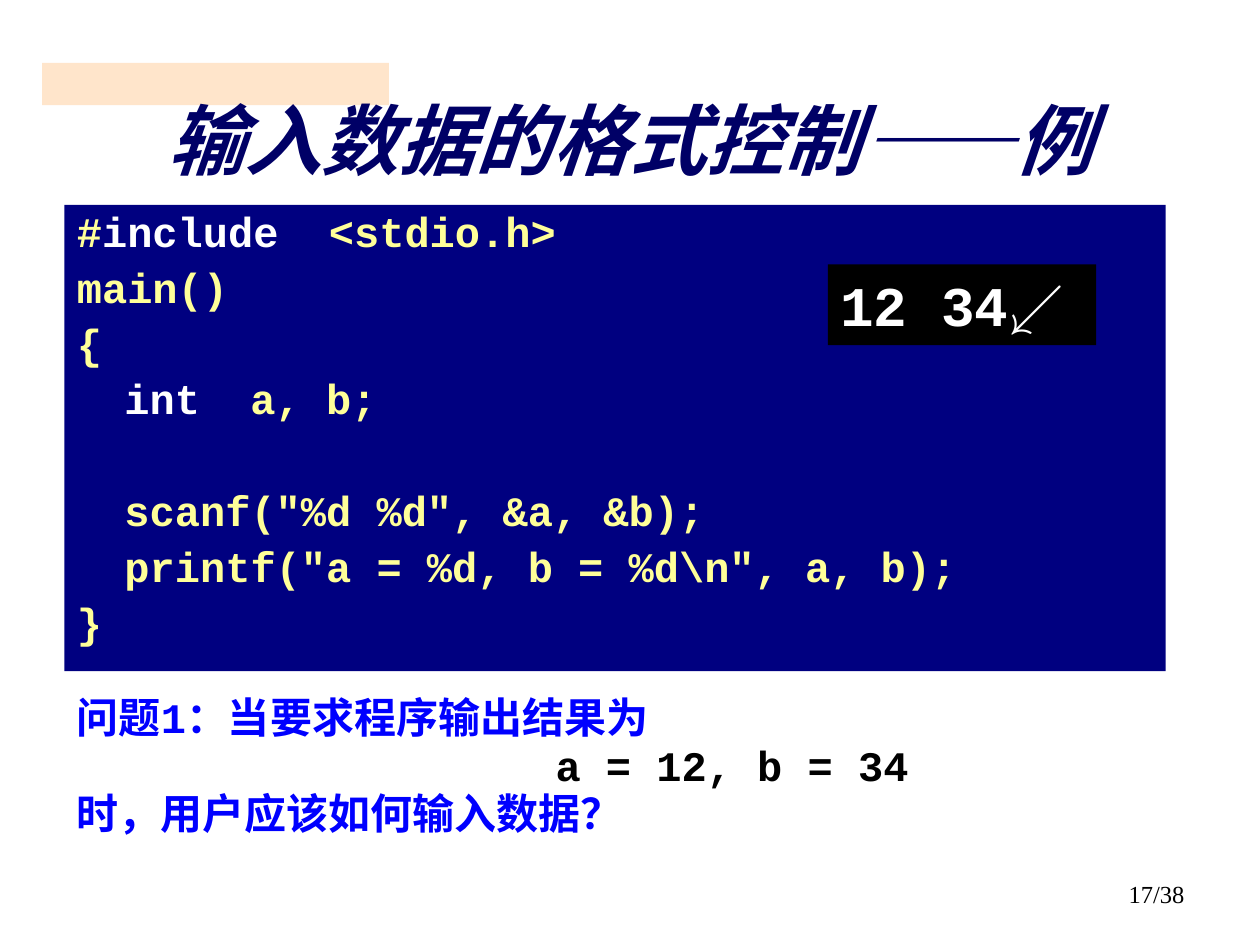
from dataclasses import dataclass

import pptx
import pptx.dml.color
import pptx.enum.shapes
import pptx.enum.text
import pptx.oxml
import pptx.oxml.ns
import pptx.util

Cm = pptx.util.Cm
Pt = pptx.util.Pt
RGBColor = pptx.dml.color.RGBColor
ALIGN = pptx.enum.text.PP_ALIGN
ANCHOR = pptx.enum.text.MSO_ANCHOR
qn = pptx.oxml.ns.qn

WHITE = RGBColor(0xFF, 0xFF, 0xFF)
BLACK = RGBColor(0, 0, 0)
NAVY = RGBColor(0, 0, 0x80)
TITLE_BLUE = RGBColor(0, 0, 0x66)
QUESTION_BLUE = RGBColor(0, 0, 0xFF)
CODE_YELLOW = RGBColor(0xFF, 0xFF, 0x99)
PEACH = RGBColor(0xFF, 0xCC, 0x99)

MONO = "Courier New"
SERIF = "Times New Roman"
HAN = "Noto Sans CJK SC"
DRAWING_NS = "http://schemas.openxmlformats.org/drawingml/2006/main"
TEXT_SHADOW = (
    f'<a:effectLst xmlns:a="{DRAWING_NS}">'
    '<a:outerShdw dist="25400" dir="2700000"><a:srgbClr val="000000"/></a:outerShdw>'
    "</a:effectLst>"
)


@dataclass(frozen=True)
class Box:
    left: float
    top: float
    width: float
    height: float

    def lengths(self) -> tuple:
        return Cm(self.left), Cm(self.top), Cm(self.width), Cm(self.height)


@dataclass(frozen=True)
class Piece:
    text: str
    color: RGBColor | None = None
    font: str | None = None


@dataclass(frozen=True)
class Line:
    pieces: tuple[Piece, ...]
    indent: float = 0
    before: float | None = None


def line(text: str, color: RGBColor | None = None, **layout) -> Line:
    return Line((Piece(text, color),), **layout)


def write(frame, lines: list[Line], *, font: str, size: float, color: RGBColor,
          bold: bool = False, italic: bool = False, align=ALIGN.LEFT,
          anchor=ANCHOR.TOP, spacing: float = 1.0, before: float = 0,
          shadow: bool = False) -> None:
    frame.word_wrap = True
    frame.vertical_anchor = anchor
    for index, content in enumerate(lines):
        paragraph = frame.add_paragraph() if index else frame.paragraphs[0]
        paragraph.alignment = align
        paragraph.line_spacing = spacing
        if index:
            paragraph.space_before = Pt(before if content.before is None else content.before)
        if content.indent:
            paragraph._p.get_or_add_pPr().set("marL", str(Cm(content.indent)))
        for piece in content.pieces:
            run = paragraph.add_run()
            run.text = piece.text
            run.font.size = Pt(size)
            run.font.bold = bold
            run.font.italic = italic
            run.font.color.rgb = piece.color or color
            run.font.name = piece.font or font
            properties = run._r.get_or_add_rPr()
            latin = properties.find(qn("a:latin"))
            east_asian = pptx.oxml.parse_xml(
                f'<a:ea xmlns:a="{DRAWING_NS}" typeface="{HAN}"/>')
            latin.addnext(east_asian)
            if shadow:
                latin.addprevious(pptx.oxml.parse_xml(TEXT_SHADOW))


def add_panel(slide, box: Box, fill: RGBColor):
    panel = slide.shapes.add_shape(
        pptx.enum.shapes.MSO_SHAPE.RECTANGLE, *box.lengths())
    panel.shadow.inherit = False
    panel.fill.solid()
    panel.fill.fore_color.rgb = fill
    panel.line.fill.background()
    return panel


def add_text(slide, box: Box, lines: list[Line], **text_format) -> None:
    write(slide.shapes.add_textbox(*box.lengths()).text_frame, lines, **text_format)


def main() -> None:
    deck = pptx.Presentation()
    deck.slide_width, deck.slide_height = Cm(25.4), Cm(19.05)
    slide = deck.slides.add_slide(deck.slide_layouts[6])

    add_text(slide, Box(18.21, 17.6, 5.92, 1.32), [line("17/38")],
             font=SERIF, size=14, color=BLACK, align=ALIGN.RIGHT)

    band = add_panel(slide, Box(0.85, 1.27, 6.99, 0.85), PEACH)
    band_color = band.fill._xPr.find(qn("a:solidFill"))[0]
    band_color.append(pptx.oxml.parse_xml(
        f'<a:alpha xmlns:a="{DRAWING_NS}" val="50000"/>'))

    body_indent = 0.96
    code = [
        Line((Piece("#"), Piece("include", WHITE), Piece("  <stdio.h>"))),
        line("main()"),
        line("{"),
        Line((Piece("int", WHITE), Piece("  a, b;")), indent=body_indent),
        line('scanf("%d %d", &a, &b);', indent=body_indent, before=38),
        line('printf("a = %d, b = %d\\n", a, b);', indent=body_indent),
        line("}"),
    ]
    listing = add_panel(slide, Box(1.3, 4.13, 22.2, 9.4), NAVY)
    write(listing.text_frame, code, font=MONO, size=24, color=CODE_YELLOW,
          bold=True, spacing=0.9, before=6)

    question = [
        line("问题1：当要求程序输出结果为"),
        line("a = 12, b = 34", BLACK, indent=9.65),
        line("时，用户应该如何输入数据？"),
    ]
    add_text(slide, Box(1.3, 13.89, 22, 4.01), question,
             font=MONO, size=24, color=QUESTION_BLUE, bold=True, spacing=0.95)

    console = add_panel(slide, Box(16.69, 5.33, 5.41, 1.63), BLACK)
    write(console.text_frame, [line("12 34↙")],
          font=MONO, size=32, color=WHITE, bold=True)

    title = Line((Piece("输入数据的格式控制"), Piece("——", font=SERIF), Piece("例")))
    add_text(slide, Box(1.5, 1.78, 22.4, 2.34), [title],
             font=HAN, size=44, color=TITLE_BLUE, bold=True, italic=True,
             align=ALIGN.CENTER, anchor=ANCHOR.MIDDLE, spacing=0.85, shadow=True)

    deck.save("out.pptx")


if __name__ == "__main__":
    main()
